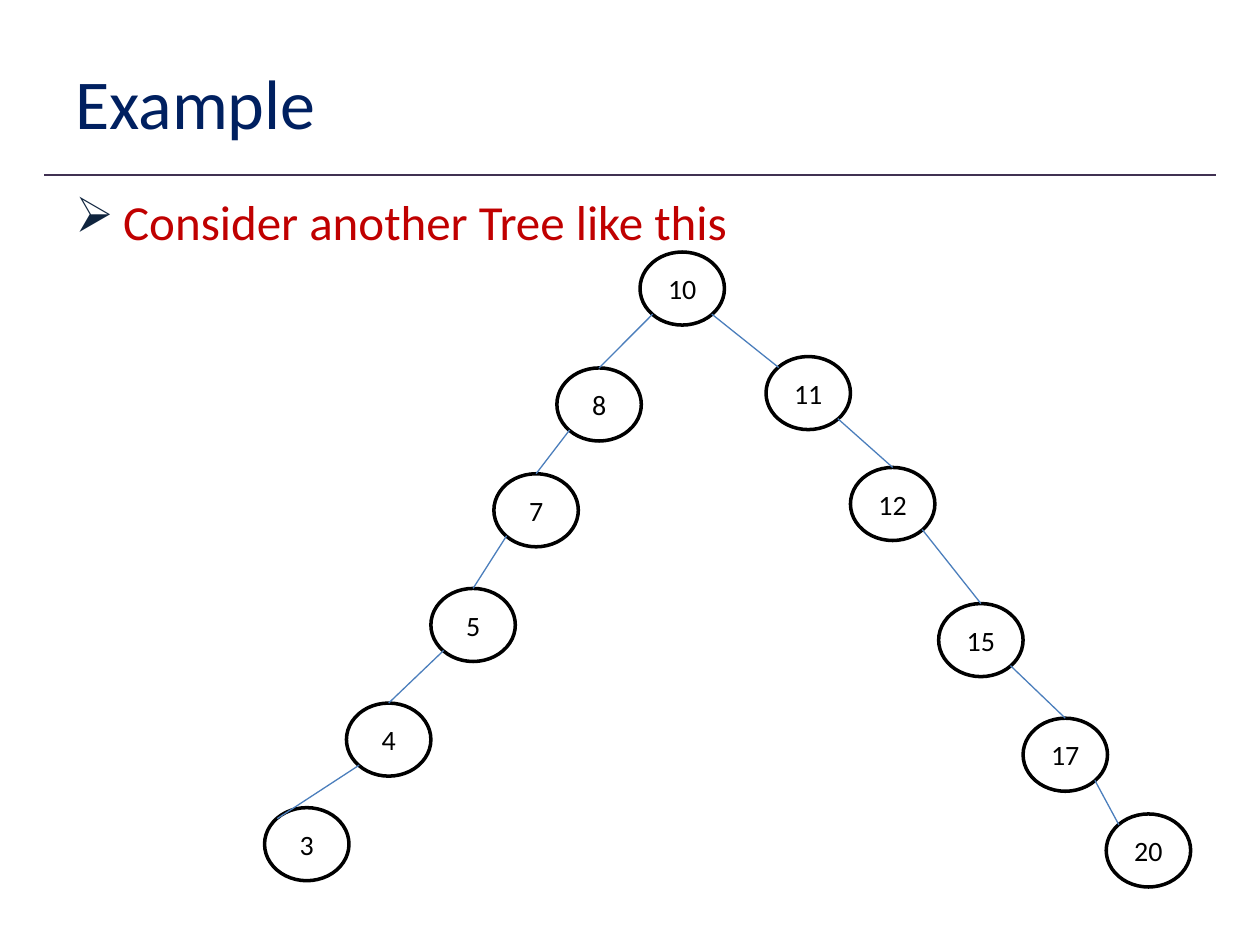
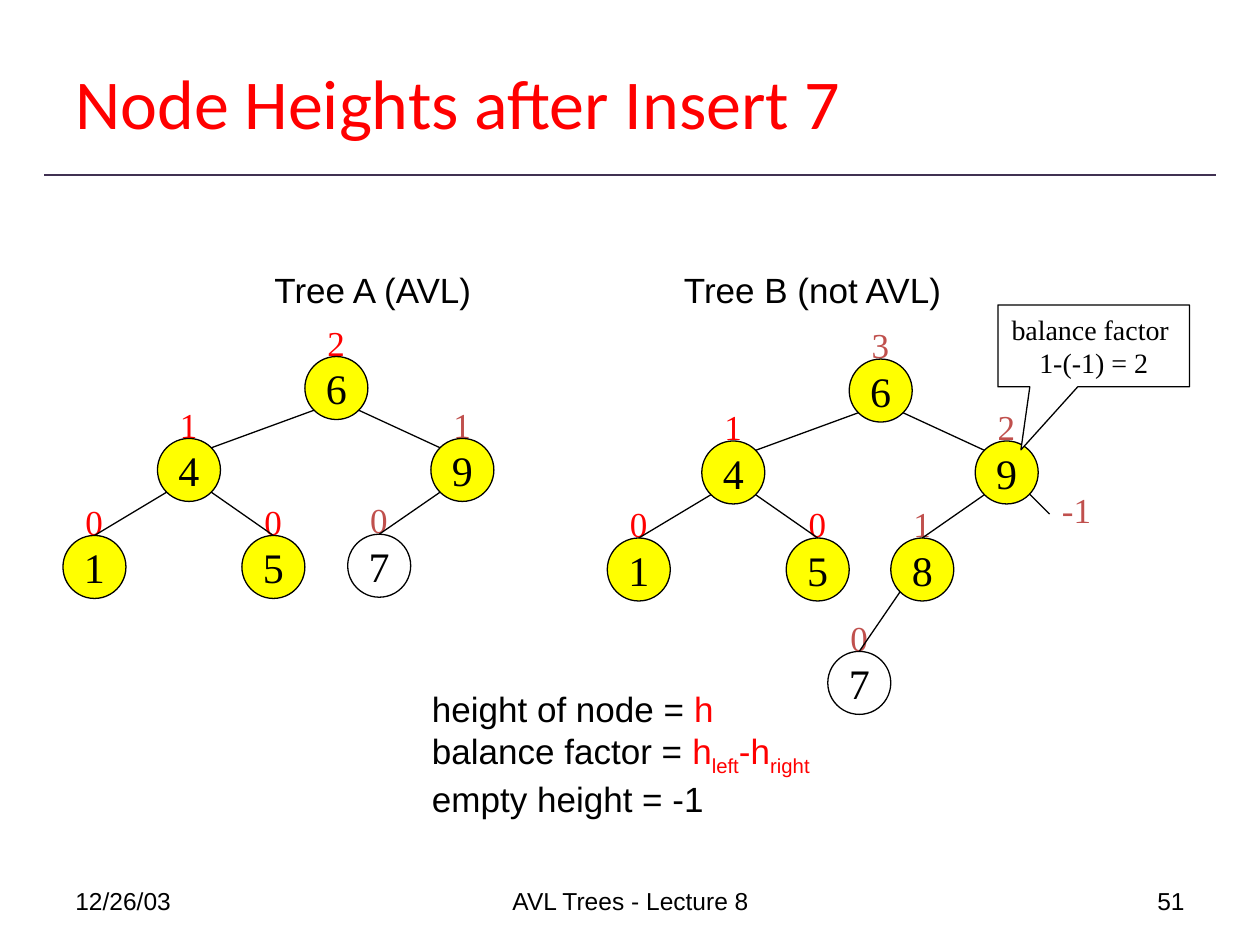
"""Build two slides on binary search trees and AVL node heights."""
from lxml import etree
from pptx import Presentation
from pptx.dml.color import RGBColor
from pptx.enum import shapes, text
from pptx.oxml import ns
from pptx.util import Inches, Pt

BLACK = RGBColor(0x00, 0x00, 0x00)
WHITE = RGBColor(0xFF, 0xFF, 0xFF)
NAVY = RGBColor(0x00, 0x20, 0x60)
RED = RGBColor(0xFF, 0x00, 0x00)
DARK_RED = RGBColor(0xC0, 0x00, 0x00)
BRICK = RGBColor(0xC0, 0x50, 0x4D)
YELLOW = RGBColor(0xFF, 0xFF, 0x00)
PURPLE = RGBColor(0x40, 0x31, 0x52)
BLUE = RGBColor(0x4B, 0x7E, 0xBC)

LEFT, CENTER, RIGHT = text.PP_ALIGN.LEFT, text.PP_ALIGN.CENTER, text.PP_ALIGN.RIGHT
TOP, MIDDLE = text.MSO_ANCHOR.TOP, text.MSO_ANCHOR.MIDDLE
OVAL = shapes.MSO_SHAPE.OVAL
SITES = {"t": (0.5, 0), "tl": (0.15, 0.15), "tr": (0.85, 0.15),
         "bl": (0.15, 0.85), "br": (0.85, 0.85)}


def add_text(s, at, paras, font, size, align=LEFT, anchor=TOP, wrap=False,
             shape=None, fill=None, width=0.75):
    """Add a text box, or a preset shape with text; a run is (text, colour, baseline)."""
    box = [Inches(v) for v in at]
    if shape is None:
        sp = s.shapes.add_textbox(*box)
    else:
        sp = s.shapes.add_shape(shape, *box)
        sp.shadow.inherit = False
        sp.line.color.rgb = BLACK
        sp.line.width = Pt(width)
        if fill is None:
            sp.fill.background()
        else:
            sp.fill.solid()
            sp.fill.fore_color.rgb = fill
    tf = sp.text_frame
    tf.word_wrap = wrap
    tf.vertical_anchor = anchor
    for i, runs in enumerate(paras):
        p = tf.paragraphs[0] if i == 0 else tf.add_paragraph()
        p.alignment = align
        for words, colour, *baseline in runs:
            r = p.add_run()
            r.text = words
            r.font.name = font
            r.font.size = Pt(size)
            r.font.color.rgb = colour
            if baseline:
                r._r.get_or_add_rPr().set("baseline", str(baseline[0]))
    return sp


def add_line(s, start, end, colour, width=0.75):
    """Add a straight line between two points."""
    ln = s.shapes.add_connector(shapes.MSO_CONNECTOR.STRAIGHT,
                                *[Inches(v) for v in (*start, *end)])
    ln.line.color.rgb = colour
    ln.line.width = Pt(width)
    etree.SubElement(ln._element.spPr, ns.qn("a:effectLst"))


prs = Presentation()
prs.slide_width, prs.slide_height = Inches(10), Inches(7.5)

slides = []
for title, colour in [("Example", NAVY), ("Node Heights after Insert 7", RED)]:
    s = prs.slides.add_slide(prs.slide_layouts[6])
    add_line(s, (0.35, 1.39), (9.65, 1.39), PURPLE, 1)
    add_text(s, (0.5, 0.3, 9, 1.01), [[(title, colour)]], "Calibri", 40,
             anchor=MIDDLE, wrap=True)
    slides.append(s)

s = slides[0]
sp = add_text(s, (0.5, 1.47, 9, 5.23), [[("Consider another Tree like this", DARK_RED)]],
              "Calibri", 28, wrap=True)
pPr = sp.text_frame.paragraphs[0]._p.get_or_add_pPr()
pPr.set("marL", str(Inches(0.38)))
pPr.set("indent", str(-Inches(0.38)))
bullet_colour = etree.SubElement(pPr, ns.qn("a:buClr"))
etree.SubElement(bullet_colour, ns.qn("a:srgbClr"), val="0F243E")
etree.SubElement(pPr, ns.qn("a:buChar"), char="➢")

W, H = 0.67, 0.58
nodes = {10: (5.08, 2), 8: (4.42, 2.92), 7: (3.92, 3.76), 5: (3.42, 4.67),
         4: (2.75, 5.58), 3: (2.1, 6.41), 11: (6.08, 2.83), 12: (6.75, 3.71),
         15: (7.45, 4.79), 17: (8.12, 5.7), 20: (8.78, 6.46)}
for value, (x, y) in nodes.items():
    add_text(s, (x, y, W, H), [[(str(value), BLACK)]], "Calibri", 16, CENTER, MIDDLE,
             shape=OVAL, fill=WHITE, width=2)
for chain, site in [((10, 8, 7, 5, 4, 3), "bl"), ((10, 11, 12, 15, 17, 20), "br")]:
    for parent, child in zip(chain, chain[1:]):
        ends = [(nodes[parent], site), (nodes[child], "tl" if child in (3, 11, 20) else "t")]
        points = [(x + W * SITES[k][0], y + H * SITES[k][1]) for (x, y), k in ends]
        add_line(s, *points, BLUE)

s = slides[1]
for x, w, words, align in [(0.5, 2.33, "12/26/03", LEFT),
                           (3.42, 3.17, "AVL Trees - Lecture 8", CENTER),
                           (7.17, 2.33, "51", RIGHT)]:
    add_text(s, (x, 6.95, w, 0.4), [[(words, BLACK)]], "Arial", 14, align, MIDDLE, True)

D = 0.5
places = {"6": (1.92, 0), "4": (0.75, 0.65), "9": (2.92, 0.65), "1": (0, 1.42), "5": (1.42, 1.42)}
edges = [("6", "bl", "4", "tr"), ("6", "br", "9", "tl"),
         ("4", "bl", "1", "t"), ("4", "br", "5", "t")]
trees = [
    (0.5, 2.83, {"7": (2.26, 1.41)}, [("9", "bl", "7", "t")],
     {"6": "2", "4": "1", "9": "1", "1": "0", "5": "0", "7": "0"}, "97"),
    (4.82, 2.85, {"8": (2.25, 1.42), "7": (1.75, 2.32)},
     [("9", "bl", "8", "t"), ("8", "bl", "7", "t")],
     {"6": "3", "4": "1", "9": "2", "1": "0", "5": "0", "8": "1", "7": "0"}, "6987"),
]
for left, top, extra_places, extra_edges, heights, changed in trees:
    nodes = {k: (left + x, top + y) for k, (x, y) in {**places, **extra_places}.items()}
    for value, (x, y) in nodes.items():
        add_text(s, (x + 0.08, y - 0.33, 0.34, 0.43),
                 [[(heights[value], BRICK if value in changed else RED)]],
                 "Times New Roman", 20)
        add_text(s, (x, y, D, D), [[(value, BLACK)]], "Times New Roman", 24, CENTER, MIDDLE,
                 shape=OVAL, fill=None if value == "7" else YELLOW)
    for parent, start, child, end in edges + extra_edges:
        points = [(nodes[v][0] + D * SITES[k][0], nodes[v][1] + D * SITES[k][1])
                  for v, k in [(parent, start), (child, end)]]
        add_line(s, *points, BLACK)

add_text(s, (3.33, 5.41, 3.25, 1.1), [
    [("height of node = ", BLACK), ("h", RED)],
    [("balance factor = ", BLACK), ("h", RED), ("left", RED, -25000),
     ("-h", RED), ("right", RED, -25000)],
    [("empty height = -1", BLACK)]], "Arial", 20)

callout = add_text(s, (7.92, 2.42, 1.52, 0.65),
                   [[("balance factor ", BLACK)], [("1-(-1) = 2", BLACK)]],
                   "Times New Roman", 16, CENTER, MIDDLE,
                   shape=shapes.MSO_SHAPE.RECTANGULAR_CALLOUT, fill=WHITE)
callout.adjustments[0] = -0.38
callout.adjustments[1] = 1.27
add_line(s, (8.17, 3.92), (8.33, 4.08), BLACK)
add_text(s, (8.33, 3.83, 0.43, 0.43), [[("-1", BRICK)]], "Times New Roman", 20)

for x, w, words in [(2.08, 1.83, "Tree A (AVL)"), (5.33, 2.5, "Tree B (not AVL)")]:
    add_text(s, (x, 2.08, w, 0.43), [[(words, BLACK)]], "Arial", 20, wrap=True)

prs.save("out.pptx")
